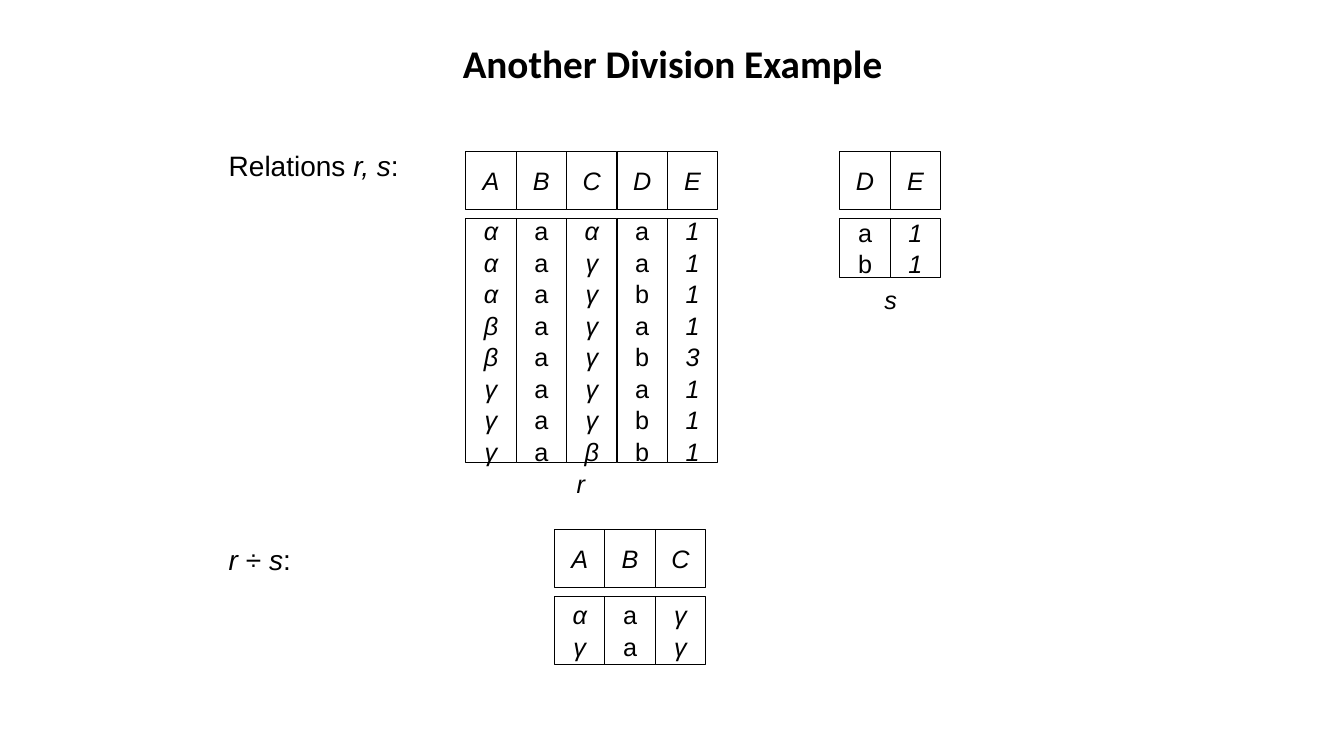
from pptx import Presentation
from pptx.dml.color import RGBColor
from pptx.enum.shapes import MSO_SHAPE
from pptx.enum.text import MSO_ANCHOR as Anchor, PP_ALIGN as Align
from pptx.util import Inches, Pt

BLACK = RGBColor(0, 0, 0)
WHITE = RGBColor(255, 255, 255)
COLUMN_WIDTH = 0.5
HEADING_HEIGHT = 0.58
BODY_OFFSET = 0.67


def write(frame, paragraphs, size=18, font="Arial", bold=False,
          align=Align.CENTER, anchor=Anchor.MIDDLE, wrap=True, gap=0):
    """Fill a text frame with paragraphs, each a list of (text, italic) runs."""
    frame.word_wrap = wrap
    frame.vertical_anchor = anchor
    for index, runs in enumerate(paragraphs):
        paragraph = frame.add_paragraph() if index else frame.paragraphs[0]
        paragraph.alignment = align
        if index:
            paragraph.space_before = Pt(gap)
        for text, italic in runs:
            run = paragraph.add_run()
            run.text = text
            run.font.size = Pt(size)
            run.font.name = font
            run.font.bold = bold
            run.font.italic = italic
            run.font.color.rgb = BLACK


def add_label(slide, box, runs, **text_format):
    """Place one line of text in the given box."""
    label = slide.shapes.add_textbox(*map(Inches, box))
    write(label.text_frame, [runs], **text_format)


def add_cell(slide, box, lines):
    """Draw an outlined cell holding one value per line."""
    cell = slide.shapes.add_shape(MSO_SHAPE.RECTANGLE, *map(Inches, box))
    cell.shadow.inherit = False
    cell.fill.solid()
    cell.fill.fore_color.rgb = WHITE
    cell.line.color.rgb = BLACK
    cell.line.width = Pt(0.75)
    write(cell.text_frame, [[(value, value not in "ab")] for value in lines], gap=0.9)


def add_relation(slide, left, top, body_height, columns):
    """Draw a relation as heading cells above one body cell per attribute."""
    for index, (attribute, values) in enumerate(columns.items()):
        x = left + index * COLUMN_WIDTH
        add_cell(slide, (x, top, COLUMN_WIDTH, HEADING_HEIGHT), attribute)
        add_cell(slide, (x, top + BODY_OFFSET, COLUMN_WIDTH, body_height), values)


def add_division_slide(presentation):
    """Build the slide with both relations and their quotient."""
    slide = presentation.slides.add_slide(presentation.slide_layouts[6])
    add_label(slide, (2.42, 0, 8.5, 1.25), [("Another Division Example", False)],
              size=28, font="Calibri", bold=True)

    heading_format = {"size": 20, "align": Align.LEFT, "anchor": Anchor.TOP}
    add_label(slide, (2.17, 1.42, 2.33, 0.36),
              [("Relations ", False), ("r, s", True), (":", False)], **heading_format)
    add_label(slide, (2.17, 5.33, 1.42, 0.36),
              [("r", True), (" ÷ ", False), ("s", True), (":", False)], **heading_format)

    add_relation(slide, 4.62, 1.5, 2.42, {
        "A": "αααββγγγ", "B": "aaaaaaaa", "C": "αγγγγγγβ",
        "D": "aababab" "b", "E": "11113111"})
    add_relation(slide, 8.33, 1.5, 0.58, {"D": "ab", "E": "11"})
    add_relation(slide, 5.5, 5.25, 0.67, {"A": "αγ", "B": "aa", "C": "γγ"})

    add_label(slide, (5.62, 4.6, 0.28, 0.4), [("r", True)], wrap=False)
    add_label(slide, (8.67, 2.77, 0.33, 0.4), [("s", True)], wrap=False)


def main():
    """Create and save the presentation."""
    presentation = Presentation()
    presentation.slide_width = Inches(13.33)
    presentation.slide_height = Inches(7.5)
    add_division_slide(presentation)
    presentation.save("out.pptx")


if __name__ == "__main__":
    main()
